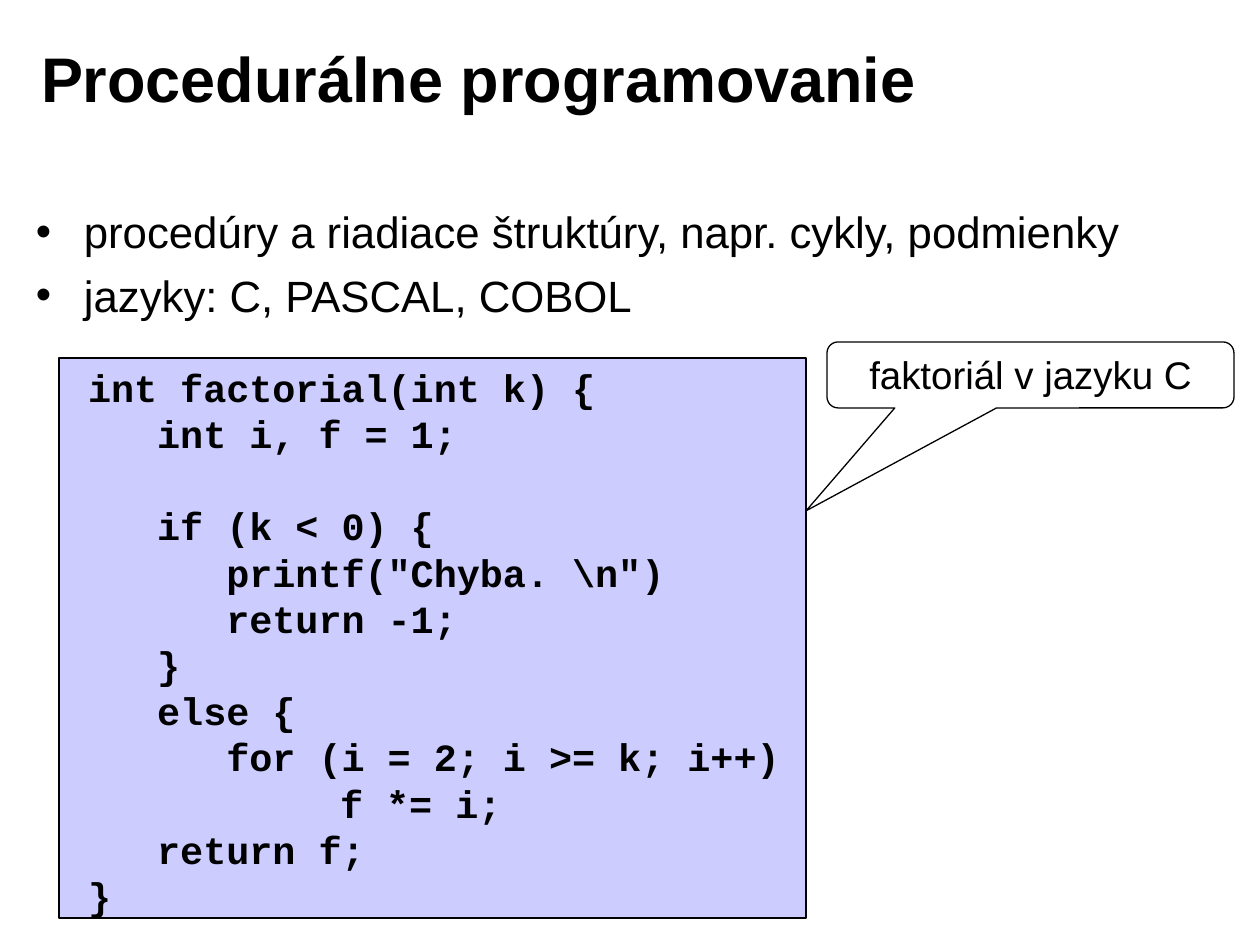
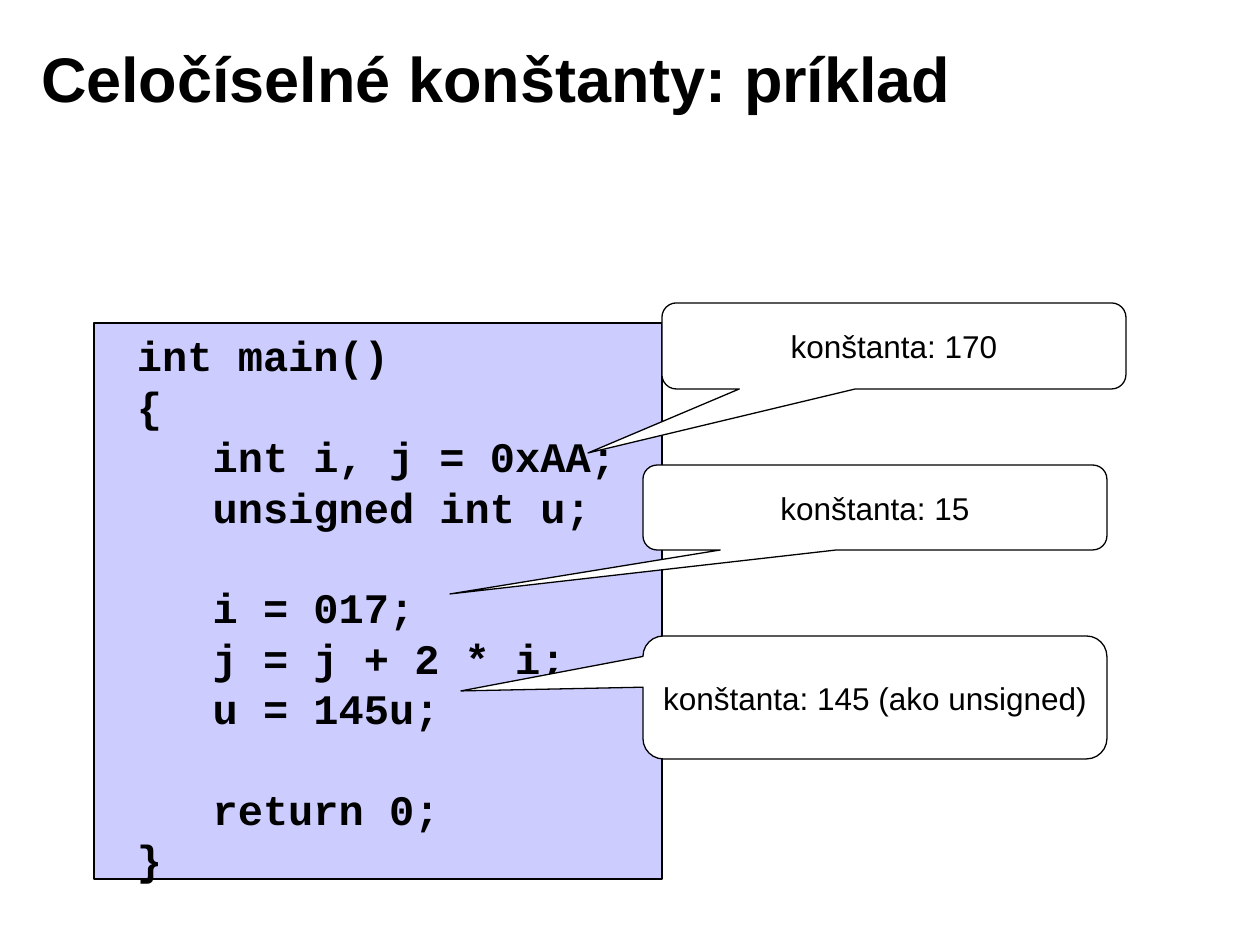
from lxml import etree
from pptx import Presentation
from pptx import util as u
from pptx.dml import color
from pptx.enum import shapes, text
from pptx.oxml import ns

EMU_PER_PX = 914400 / 126
COLORS = {"ink": "000000", "paper": "FFFFFF", "code": "CCCCFF"}
BODY_FONT = "Arial"
CODE_FONT = "Courier New"
BULLET_INDENT = 48
TAB_STEP = 126

FACTORIAL_CODE = """int factorial(int k) {
   int i, f = 1;

   if (k < 0) {
      printf("Chyba. \\n")
      return -1;
   }
   else {
      for (i = 2; i >= k; i++)
\t\tf *= i;
   return f;
}"""

CONSTANTS_CODE = """int main()
{
   int i, j = 0xAA;
   unsigned int u;

   i = 017;
   j = j + 2 * i;
   u = 145u;

   return 0;
}"""


def px(length):
    return u.Emu(round(length * EMU_PER_PX))


def rgb(name):
    return color.RGBColor.from_string(COLORS[name])


def add_bullet(paragraph):
    properties = paragraph._p.get_or_add_pPr()
    properties.set("marL", str(px(BULLET_INDENT)))
    properties.set("indent", str(-px(BULLET_INDENT)))
    etree.SubElement(properties, ns.qn("a:buFont")).set("typeface", BODY_FONT)
    etree.SubElement(properties, ns.qn("a:buChar")).set("char", "•")


def add_tab_stops(paragraph, count):
    stops = etree.SubElement(paragraph._p.get_or_add_pPr(), ns.qn("a:tabLst"))
    for number in range(1, count + 1):
        stop = etree.SubElement(stops, ns.qn("a:tab"))
        stop.set("pos", str(px(number * TAB_STEP)))
        stop.set("algn", "l")


def write_text(shape, content, size, font=BODY_FONT, bold=False, bullets=False,
               align=text.PP_ALIGN.LEFT, anchor=text.MSO_ANCHOR.MIDDLE, wrap=True, gap=0):
    frame = shape.text_frame
    frame.word_wrap = wrap
    frame.vertical_anchor = anchor
    frame.margin_left = frame.margin_right = px(12)
    frame.margin_top = frame.margin_bottom = px(6)
    for number, line in enumerate(content.split("\n")):
        paragraph = frame.add_paragraph() if number else frame.paragraphs[0]
        paragraph.alignment = align
        if number and gap:
            paragraph.space_before = u.Pt(gap)
        if bullets:
            add_bullet(paragraph)
        if "\t" in line:
            add_tab_stops(paragraph, line.count("\t"))
        paragraph.font.size = u.Pt(size)
        if line:
            run = paragraph.add_run()
            run.text = line
            run.font.size = u.Pt(size)
            run.font.name = font
            run.font.bold = bold
            run.font.color.rgb = rgb("ink")
        else:
            end = etree.SubElement(paragraph._p, ns.qn("a:endParaRPr"))
            end.set("sz", str(size * 100))
            end.set("b", str(int(bold)))
            etree.SubElement(end, ns.qn("a:latin")).set("typeface", font)


def add_text(slide, box, content, **style):
    shape = slide.shapes.add_textbox(*map(px, box))
    write_text(shape, content, **style)


def add_outlined(slide, kind, box, fill):
    shape = slide.shapes.add_shape(kind, *map(px, box))
    shape.shadow.inherit = False
    shape.fill.solid()
    shape.fill.fore_color.rgb = rgb(fill)
    shape.line.color.rgb = rgb("ink")
    shape.line.width = u.Pt(0.74)
    return shape


def add_code(slide, panel, box, code, **style):
    add_outlined(slide, shapes.MSO_SHAPE.RECTANGLE, panel, "code")
    add_text(slide, box, code, font=CODE_FONT, bold=True, **style)


def add_callout(slide, box, tip, label, **style):
    left, top, width, height = box
    shape = add_outlined(slide, shapes.MSO_SHAPE.ROUNDED_RECTANGULAR_CALLOUT, box, "paper")
    shape.adjustments[0] = (tip[0] - left) / width - 0.5
    shape.adjustments[1] = (tip[1] - top) / height - 0.5
    shape.adjustments[2] = 0.167
    write_text(shape, label, align=text.PP_ALIGN.CENTER, **style)


def add_titled_slide(presentation, title):
    slide = presentation.slides.add_slide(presentation.slide_layouts[6])
    add_text(slide, (29, 19, 1012, 117), title, size=36, bold=True)
    return slide


def build_procedural(presentation):
    slide = add_titled_slide(presentation, "Procedurálne programovanie")
    add_text(slide, (24, 199, 1211, 142),
             "procedúry a riadiace štruktúry, napr. cykly, podmienky\njazyky: C, PASCAL, COBOL",
             size=25, bullets=True, anchor=text.MSO_ANCHOR.TOP, gap=6.2)
    add_code(slide, (59, 358, 747, 560), (76, 356, 762, 570), FACTORIAL_CODE, size=22)
    add_callout(slide, (827, 342, 407, 66), (806, 511), "faktoriál v jazyku C",
                size=22, anchor=text.MSO_ANCHOR.TOP)


def build_constants(presentation):
    slide = add_titled_slide(presentation, "Celočíselné konštanty: príklad")
    add_code(slide, (94, 323, 568, 556), (125, 324, 530, 566), CONSTANTS_CODE,
             size=24, anchor=text.MSO_ANCHOR.TOP)
    callouts = [
        ((662, 303, 464, 86), (588, 453), "konštanta: 170"),
        ((643, 465, 464, 85), (450, 594), "konštanta: 15"),
        ((643, 636, 464, 123), (461, 691), "konštanta: 145 (ako unsigned)"),
    ]
    for box, tip, label in callouts:
        add_callout(slide, box, tip, label, size=18)


def main():
    presentation = Presentation()
    presentation.slide_width = px(1260)
    presentation.slide_height = px(945)
    build_procedural(presentation)
    build_constants(presentation)
    presentation.save("out.pptx")


if __name__ == "__main__":
    main()
